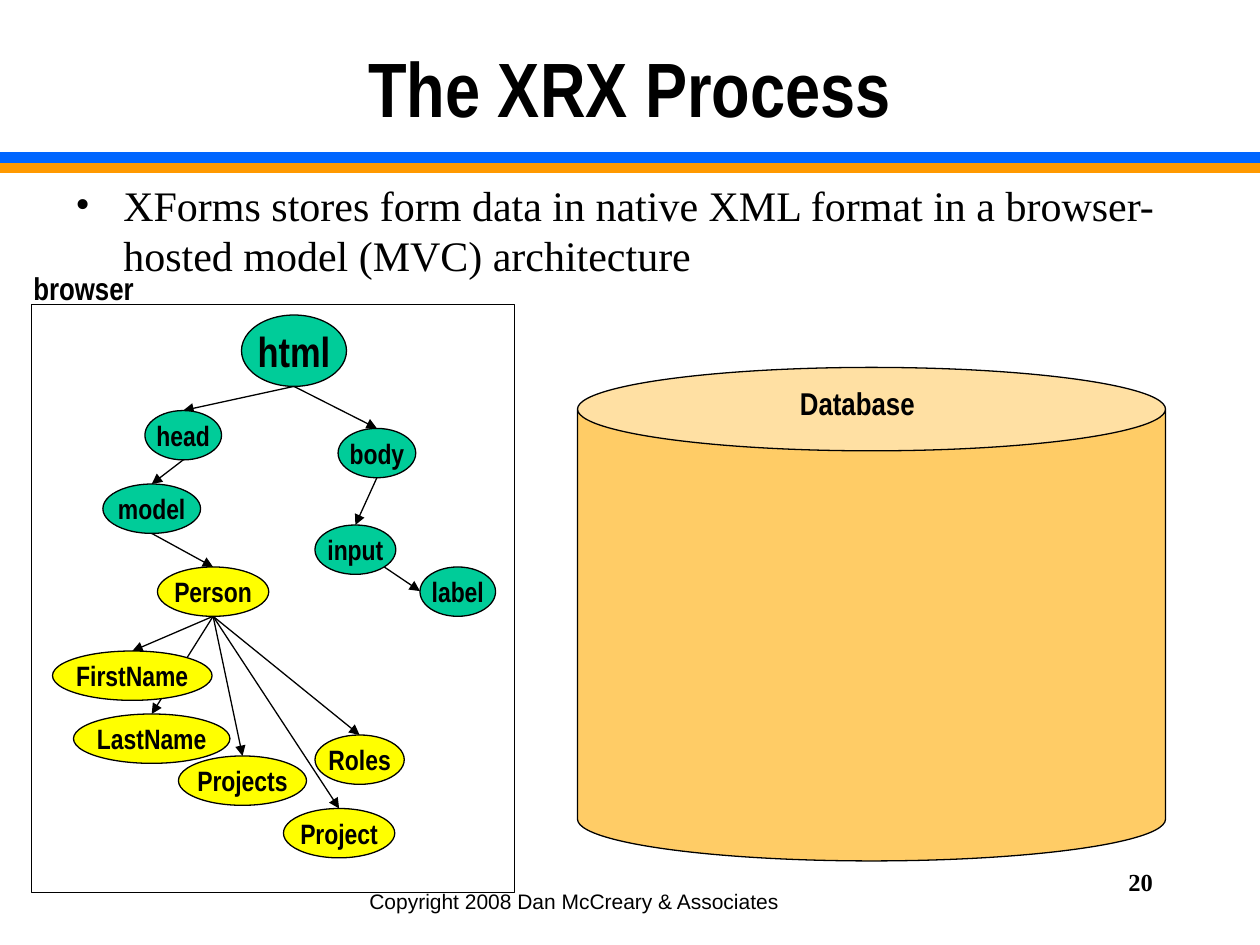
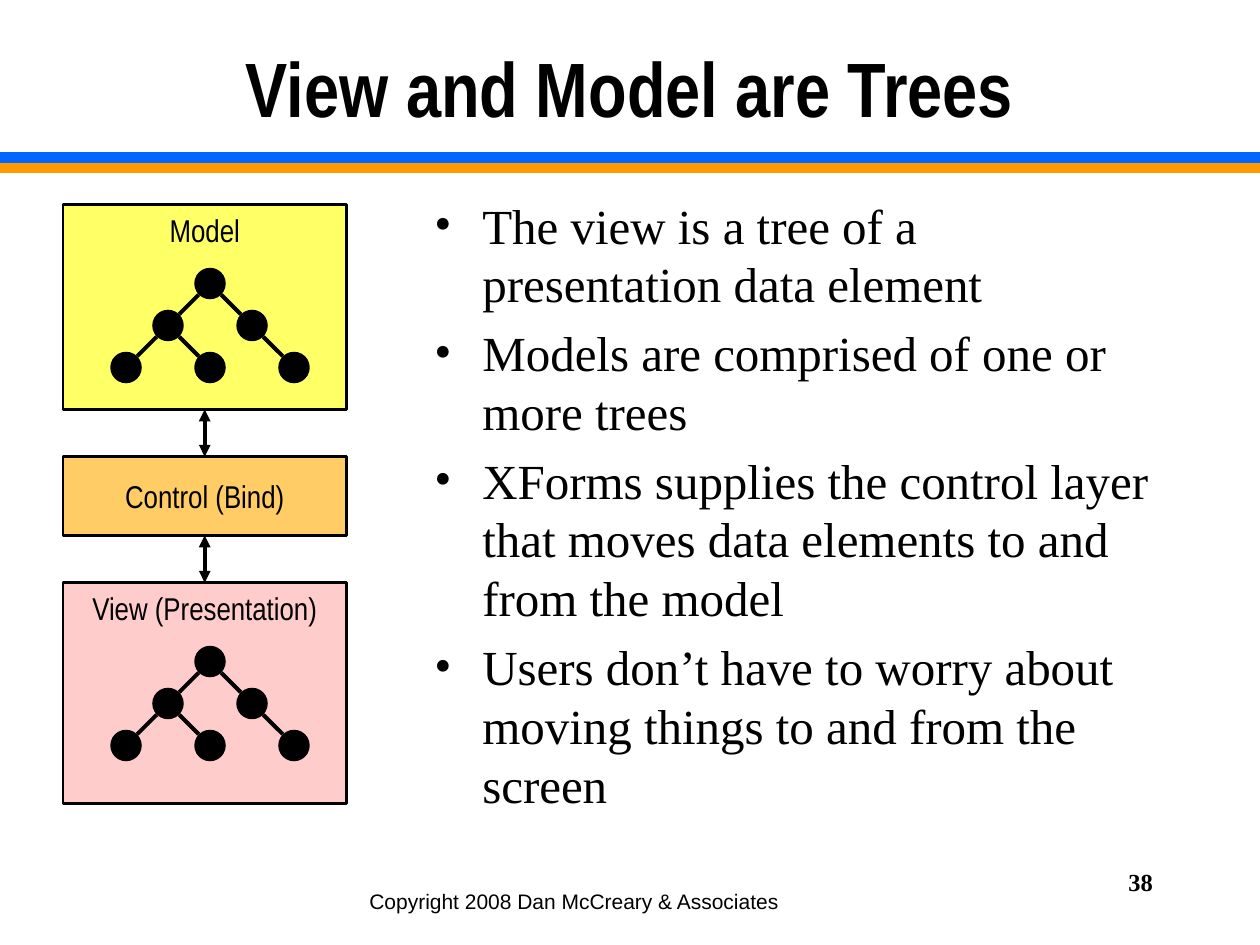
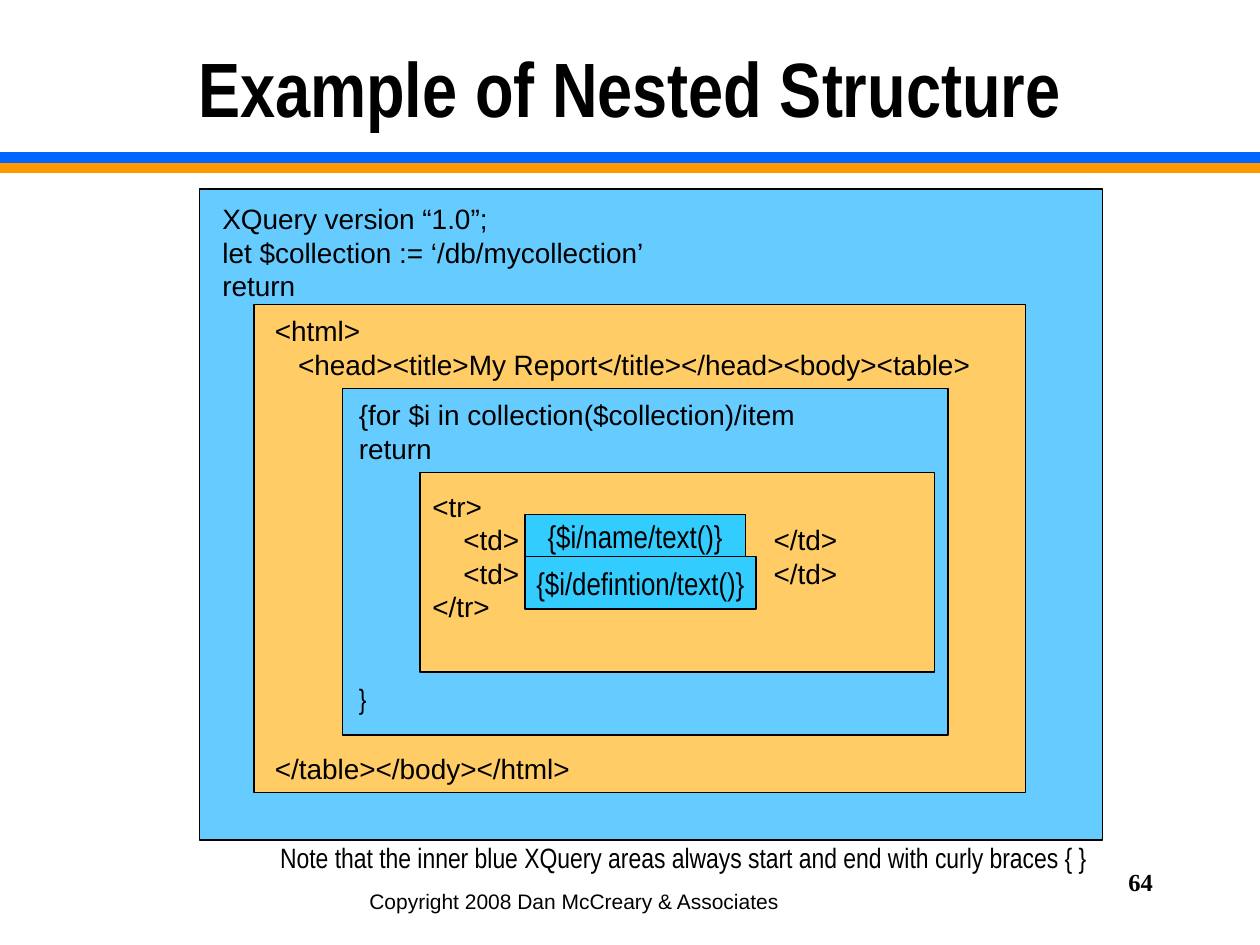
from lxml.etree import SubElement as Sub
from pptx import Presentation
from pptx.dml.color import RGBColor
from pptx.enum.shapes import MSO_CONNECTOR as Link, MSO_SHAPE as Form
from pptx.enum.text import MSO_ANCHOR as Anchor, MSO_AUTO_SIZE as Fit, PP_ALIGN as Align
from pptx.oxml.ns import qn
from pptx.util import Inches, Pt

BLACK, GREEN, YELLOW = "000000", "00CC99", "FFFF00"
ORANGE, BLUE, CYAN = "FFCC66", "66CCFF", "33CCFF"
SANS, NARROW, SERIF = "Arial", "Arial Narrow", "Times New Roman"


def paint(code):
    return RGBColor.from_string(code)


def cells(*counts):
    return [round(n * Inches(1) / 12) for n in counts]


def write(frame, text, font=NARROW, size=16, bold=False, align=Align.LEFT,
          anchor=Anchor.TOP, wrap=False, inset=None, bullet=False, tab=None):
    frame.auto_size = Fit.NONE
    frame.word_wrap = wrap
    frame.vertical_anchor = anchor
    if inset is not None:
        frame.margin_left = frame.margin_right = inset
        frame.margin_top = frame.margin_bottom = inset
    for i, line in enumerate(text.split("\n")):
        para = frame.add_paragraph() if i else frame.paragraphs[0]
        para.alignment = align
        props = para._p.get_or_add_pPr()
        if bullet:
            indent = Inches(0.38)
            props.set("marL", str(indent))
            props.set("indent", str(-indent))
            Sub(props, qn("a:buFont"), typeface=font)
            Sub(props, qn("a:buChar"), char="•")
            if i:
                para.space_before = Pt(size * 0.2)
        if tab:
            stops = Sub(props, qn("a:tabLst"))
            Sub(stops, qn("a:tab"), pos=str(cells(tab)[0]), algn="l")
        run = para.add_run()
        run.text = line
        run.font.name, run.font.size, run.font.bold = font, Pt(size), bold
        run.font.color.rgb = paint(BLACK)


class Deck:
    """Draw slides on a grid of 120 columns and 90 rows."""

    def __init__(self):
        self.show = Presentation()
        self.show.slide_width, self.show.slide_height = cells(120, 90)

    def page(self, title, number):
        self.slide = self.show.slides.add_slide(self.show.slide_layouts[5])
        head = self.slide.shapes.title
        head.left, head.top, head.width, head.height = cells(9, 1.5, 102, 13.5)
        write(head.text_frame, title, size=44, bold=True, wrap=True,
              align=Align.CENTER, anchor=Anchor.MIDDLE)
        self.line((0, 16), (120, 16), 6, "FF9900")
        self.line((0, 15), (120, 15), 6, "0066FF")
        self.text((34, 84, 55, 4), "Copyright 2008 Dan McCreary & Associates",
                  font=SANS, size=12, wrap=True)
        self.text((86, 82, 25, 6), str(number), font=SERIF, size=14, bold=True,
                  align=Align.RIGHT, wrap=True)

    def text(self, box, text, **style):
        item = self.slide.shapes.add_textbox(*cells(*box))
        write(item.text_frame, text, **style)

    def shape(self, form, box, fill=None, width=0.75, text="", **style):
        item = self.slide.shapes.add_shape(form, *cells(*box))
        item.shadow.inherit = False
        if fill:
            item.fill.solid()
            item.fill.fore_color.rgb = paint(fill)
        else:
            item.fill.background()
        if width:
            item.line.color.rgb = paint(BLACK)
            item.line.width = Pt(width)
        else:
            item.line.fill.background()
        if text:
            write(item.text_frame, text,
                  **{"align": Align.CENTER, "anchor": Anchor.MIDDLE, **style})
        return item

    def line(self, start, end, width=0.75, color=BLACK, head=False, tail=False):
        item = self.slide.shapes.add_connector(Link.STRAIGHT, *cells(*start, *end))
        item.line.color.rgb = paint(color)
        item.line.width = Pt(width)
        props = item._element.spPr
        stroke = props.find(qn("a:ln"))
        for name, shown in (("a:headEnd", head), ("a:tailEnd", tail)):
            if shown:
                Sub(stroke, qn(name), type="triangle")
        Sub(props, qn("a:effectLst"))
        return item

    def join(self, upper, lower):
        item = self.line((0, 0), (1, 1), 2.25, head=True, tail=True)
        item.begin_connect(upper, 2)
        item.end_connect(lower, 0)

    def tree(self, x, y, size=3, step=4):
        spots = {(0, 0): (-1, 1), (-1, 1): (-1, 1), (1, 1): (1,),
                 (-2, 2): (), (0, 2): (), (2, 2): ()}
        rim = size / 2 * 0.71
        for (col, row), sides in spots.items():
            left, top = x + col * step, y + row * step
            self.shape(Form.OVAL, (left - size / 2, top - size / 2, size, size), BLACK, 0)
            for side in sides:
                self.line((left + side * rim, top + rim),
                          (left + side * (step - rim), top + step - rim), 2.25)


def process(deck):
    deck.page("The XRX Process", 20)
    can = deck.shape(Form.CAN, (55, 35, 56, 47), ORANGE)
    can.adjustments[0] = 0.169
    deck.text((6, 16.5, 110, 15), "XForms stores form data in native XML format in a "
              "browser-hosted model (MVC) architecture",
              font=SERIF, size=24, wrap=True, bullet=True)
    tall = 4.7
    nodes = {
        "html": (None, 23, 30, 10, 6.8, GREEN),
        "head": ("html", 13.8, 39.1, 7.3, tall, GREEN),
        "body": ("html", 32.2, 40.8, 7.4, tall, GREEN),
        "model": ("head", 9.8, 46.1, 9.3, tall, GREEN),
        "input": ("body", 30, 50, 7.7, tall, GREEN),
        "label": (None, 40, 54, 7.2, tall, GREEN),
        "Person": ("model", 15, 54, 10.6, tall, YELLOW),
        "FirstName": ("Person", 5, 62, 15.2, tall, YELLOW),
        "LastName": ("Person", 7, 68, 14.9, tall, YELLOW),
        "Projects": ("Person", 17, 72, 12.2, tall, YELLOW),
        "Project": ("Person", 27, 77, 10.6, tall, YELLOW),
        "Roles": ("Person", 30, 70, 8.5, tall, YELLOW),
    }
    for above, x, y, wide, high, fill in nodes.values():
        if above:
            _, left, top, span, drop, _ = nodes[above]
            deck.line((left + span / 2, top + drop), (x + wide / 2, y), tail=True)
    deck.line((36.6, 54), (40, 56.3), tail=True)
    for name, (_, x, y, wide, high, fill) in nodes.items():
        deck.shape(Form.OVAL, (x, y, wide, high), fill, text=name, bold=True,
                   inset=0, size=24 if name == "html" else 16)
    deck.text((75, 36, 13.3, 4.8), "Database", size=18, bold=True)
    deck.shape(Form.RECTANGLE, (3, 29, 46, 56))
    deck.text((2, 25, 12, 4.8), "browser", size=18, bold=True)


def trees(deck):
    deck.page("View and Model are Trees", 38)
    deck.text((40.2, 18, 70.8, 61.5), "\n".join((
        "The view is a tree of a presentation data element",
        "Models are comprised of one or more trees",
        "XForms supplies the control layer that moves data elements to and from the model",
        "Users don’t have to worry about moving things to and from the screen",
    )), font=SERIF, size=28, wrap=True, bullet=True)
    parts = [
        deck.shape(Form.RECTANGLE, (6, y, 27, high), fill, 1.5, name, size=18, anchor=anchor)
        for name, y, high, fill, anchor in (
            ("Model", 19.5, 19.5, "FFFF66", Anchor.TOP),
            ("Control (Bind)", 43.5, 7.5, ORANGE, Anchor.MIDDLE),
            ("View (Presentation)", 55.5, 21, "FFCCCC", Anchor.TOP))]
    for y in (27, 63):
        deck.tree(20, y)
    for upper, lower in zip(parts, parts[1:]):
        deck.join(upper, lower)


def nested(deck):
    deck.page("Example of Nested Structure", 64)
    for box, fill in (((19, 18, 86, 62), BLUE), ((24.2, 29, 73.5, 46.5), ORANGE),
                      ((32.6, 37, 57.7, 33), BLUE), ((40, 45, 49, 19), ORANGE)):
        deck.shape(Form.RECTANGLE, box, fill)
    cell = "    <td>\t</td>"
    for box, code in (
            ((20, 18.6, 42.6, 10.8),
             "XQuery version “1.0”;\nlet $collection := ‘/db/mycollection’\nreturn"),
            ((25, 29.3, 68.9, 7.7),
             "<html>\n   <head><title>My Report</title></head><body><table>"),
            ((33, 37.3, 44, 7.7), "{for $i in collection($collection)/item\nreturn"),
            ((25, 71, 35, 4.4), "</table></body></html>")):
        deck.text(box, code, font=SANS)
    deck.text((40, 46, 46, 14), f"<tr>\n{cell}\n{cell}\n</tr>",
              font=SANS, wrap=True, tab=32.5)
    for box, code in (((50, 49, 21, 4), "{$i/name/text()}"),
                      ((50, 53, 22, 5), "{$i/defintion/text()}")):
        deck.shape(Form.RECTANGLE, box, CYAN, text=code, size=18)
    deck.text((33, 64.3, 3.1, 4.4), "}")
    deck.text((25.5, 79.5, 79.2, 4.4),
              "Note that the inner blue XQuery areas always start and end with curly braces { }")


def main():
    deck = Deck()
    for build in (process, trees, nested):
        build(deck)
    deck.show.save("out.pptx")


if __name__ == "__main__":
    main()
